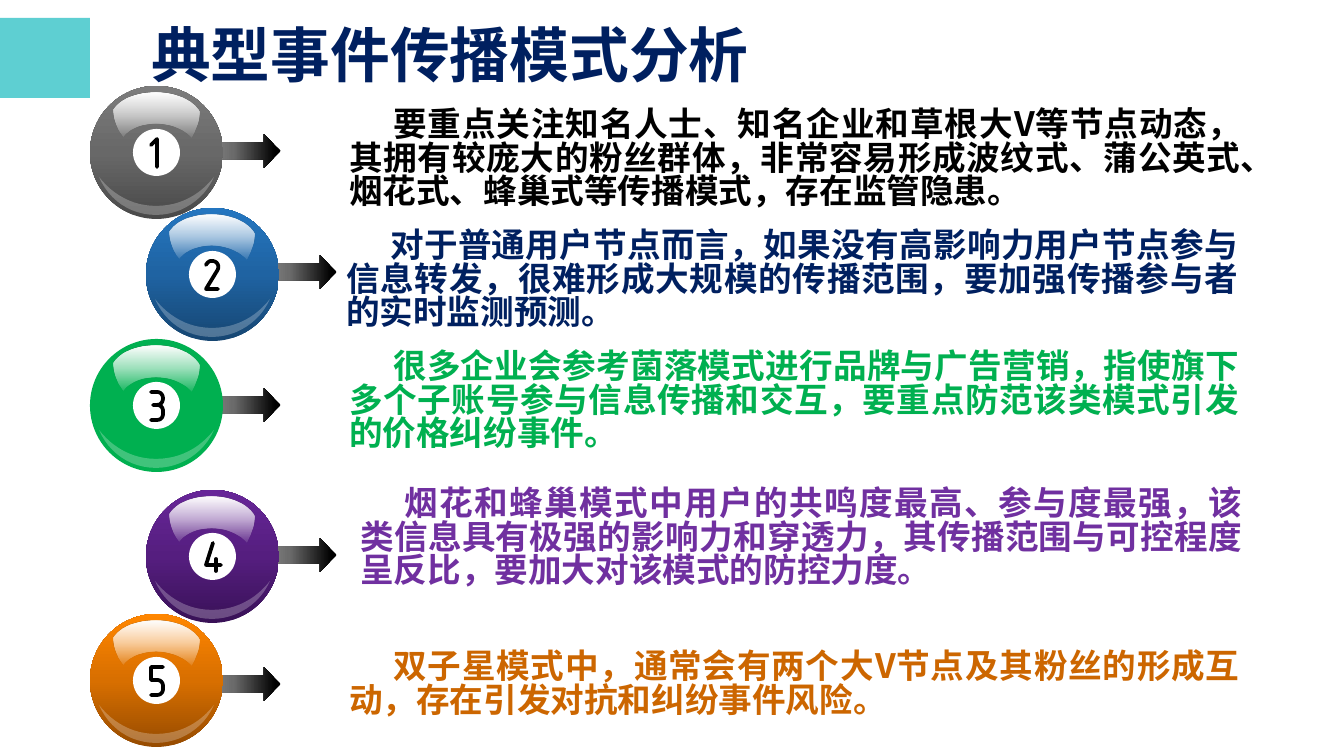
from lxml import etree
from pptx import Presentation
from pptx import util as u
from pptx.dml.color import RGBColor
from pptx.enum import shapes, text
from pptx.oxml.ns import qn

PX = 914400 / 134.4
FONT = "Noto Sans CJK SC"
INDENT = 44

# Ball parts in px from the ball's corner; six numbers make a Bezier segment
BALL, DISC = 133, (43, 43, 47, 47)
GLOSS = [(66, 7), (86, 7, 103, 15, 109, 26), (109, 36, 105, 44, 101, 52),
         (94, 44, 81, 38, 66, 38), (52, 38, 40, 43, 34, 51),
         (28, 44, 24, 34, 24, 24), (31, 13, 47, 7, 66, 7)]
CRESCENT = [(66, 129), (91, 129, 114, 114, 124, 91), (110, 109, 90, 120, 66, 120),
            (43, 120, 23, 109, 9, 91), (19, 114, 40, 129, 66, 129)]
LOWER_BOWL = [(67, 66), (71, 66, 73, 69, 73, 72), (73, 75),
              (73, 78, 71, 81, 67, 81), (61, 81)]
DIGITS = {
    1: [[(61, 59), (67, 53), (67, 81)]],
    2: [[(60, 57), (63, 52, 66, 53, 66, 53), (72, 53, 74, 59, 71, 63),
         (60, 81), (72, 81)]],
    3: [[(61, 53), (67, 53), (75, 53, 75, 66, 67, 66), (63, 66)], LOWER_BOWL],
    4: [[(67, 53), (60, 75), (75, 75)], [(70, 69), (70, 81)]],
    5: [[(73, 53), (61, 53), (61, 66)] + LOWER_BOWL],
}
WHITE_FADE = [(0, "FFFFFF", 10), (50, "FFFFFF", 61), (100, "FFFFFF", 100)]
ARROW_FADE = [(8, "000000", 100), (69, "6B6B6B", 100), (100, "808080", 100)]

# number, ball corner, arrow top, ball colours (bottom to top), text box, text colour, text
ITEMS = [
    (1, (90, 86), 134, ["494949", "686868", "7C7C7C"], (336, 103, 919, 116), "000000",
     "要重点关注知名人士、知名企业和草根大V等节点动态，其拥有较庞大的粉丝群体，非常容易形成波纹式、蒲公英式、烟花式、蜂巢式等传播模式，存在监管隐患。"),
    (2, (146, 208), 255, ["164672", "1F63A2", "2476C0"], (333, 224, 919, 116), "002060",
     "对于普通用户节点而言，如果没有高影响力用户节点参与信息转发，很难形成大规模的传播范围，要加强传播参与者的实时监测预测。"),
    (3, (90, 339), 388, ["00B050"], (336, 345, 917, 116), "00B050",
     "很多企业会参考菌落模式进行品牌与广告营销，指使旗下多个子账号参与信息传播和交互，要重点防范该类模式引发的价格纠纷事件。"),
    (4, (146, 490), 538, ["391157", "551E7F", "672698"], (347, 482, 909, 116), "7030A0",
     "烟花和蜂巢模式中用户的共鸣度最高、参与度最强，该类信息具有极强的影响力和穿透力，其传播范围与可控程度呈反比，要加大对该模式的防控力度。"),
    (5, (90, 614), 667, ["964B00", "D86F00", "FF8600"], (336, 645, 917, 82), "CC6600",
     "双子星模式中，通常会有两个大V节点及其粉丝的形成互动，存在引发对抗和纠纷事件风险。"),
]


def emu(*px):
    return [round(v * PX) for v in px]


def rgb(value):
    return RGBColor.from_string(value)


def set_alpha(color, percent):
    if percent < 100:
        etree.SubElement(color, qn("a:alpha"), val=str(percent * 1000))


def paint(s, color, alpha=100):
    s.shadow.inherit = False
    s.line.fill.background()
    s.fill.solid()
    s.fill.fore_color.rgb = rgb(color)
    set_alpha(s._element.spPr.find(".//" + qn("a:srgbClr")), alpha)


def paint_gradient(s, stops, angle):
    s.shadow.inherit = False
    s.line.fill.background()
    s.fill.gradient()
    s.fill.gradient_angle = angle
    stop_list = s._element.spPr.find(".//" + qn("a:gsLst"))
    for stop in list(stop_list):
        stop_list.remove(stop)
    for pos, color, alpha in stops:
        stop = etree.SubElement(stop_list, qn("a:gs"), pos=str(pos * 1000))
        set_alpha(etree.SubElement(stop, qn("a:srgbClr"), val=color), alpha)


def add_preset(slide, kind, box):
    return slide.shapes.add_shape(kind, *emu(*box))


def trace(segments, steps=12):
    points = [segments[0]]
    for seg in segments[1:]:
        if len(seg) == 2:
            points.append(seg)
            continue
        ctrl = [points[-1], seg[:2], seg[2:4], seg[4:]]
        for i in range(1, steps + 1):
            t = i / steps
            weights = [(1 - t) ** 3, 3 * t * (1 - t) ** 2, 3 * t * t * (1 - t), t ** 3]
            points.append(tuple(sum(w * c[k] for w, c in zip(weights, ctrl))
                                for k in (0, 1)))
    return points


def add_outline(slide, corner, contours, close):
    x, y = corner
    builder = None
    for contour in contours:
        points = [emu(x + px, y + py) for px, py in trace(contour)]
        if builder is None:
            builder = slide.shapes.build_freeform(*points[0], scale=1.0)
        else:
            builder.move_to(*points[0])
        builder.add_line_segments(points[1:], close=close)
    return builder.convert_to_shape()


def add_text(slide, box, content, font, para, frame):
    tf = slide.shapes.add_textbox(*emu(*box)).text_frame
    for key, value in {"word_wrap": True, **frame}.items():
        setattr(tf, key, value)
    p = tf.paragraphs[0]
    for key, value in para.items():
        setattr(p, key, value)
    r = p.add_run()
    r.text = content
    r.font.color.rgb = rgb(font["color"])
    for key, value in {"name": FONT, "bold": True, "size": u.Pt(font["size"])}.items():
        setattr(r.font, key, value)
    r_pr = r._r.get_or_add_rPr()
    r_pr.set("lang", "zh-CN")
    etree.SubElement(r_pr, qn("a:ea"), typeface=FONT)
    return p


def add_header(slide, box):
    x, y, w, h = box
    add_text(slide, (x + 138, y - 35, w - 47, h), "典型事件传播模式分析",
             {"color": "002060", "size": 32}, {"line_spacing": 0.9},
             {"vertical_anchor": text.MSO_ANCHOR.MIDDLE})
    paint(add_preset(slide, shapes.MSO_SHAPE.RECTANGLE, (x, y + 18, 90, 80)), "5ECFD2")


def add_arrow(slide, box):
    s = add_preset(slide, shapes.MSO_SHAPE.RIGHT_ARROW, box)
    paint_gradient(s, ARROW_FADE, 180)


def add_ball(slide, corner, number, colors):
    x, y = corner
    # Sphere
    s = add_preset(slide, shapes.MSO_SHAPE.OVAL, (x, y, BALL, BALL))
    if len(colors) == 1:
        paint(s, colors[0])
    else:
        paint_gradient(s, [(50 * i, c, 100) for i, c in enumerate(colors)], 90)
    # Reflections
    paint_gradient(add_outline(slide, corner, [GLOSS], True), WHITE_FADE, 90)
    paint(add_outline(slide, corner, [CRESCENT], True), "FFFFFF", 25)
    # Number on its disc
    dx, dy, w, h = DISC
    paint(add_preset(slide, shapes.MSO_SHAPE.OVAL, (x + dx, y + dy, w, h)), "FFFFFF")
    s = add_outline(slide, corner, DIGITS[number], False)
    s.shadow.inherit = False
    s.fill.background()
    s.line.color.rgb = rgb("000000")
    s.line.width = u.Pt(2)
    ln = s._element.spPr.find(qn("a:ln"))
    ln.set("cap", "rnd")
    etree.SubElement(ln, qn("a:round"))


def add_note(slide, box, content, color):
    p = add_text(slide, box, content, {"color": color, "size": 18},
                 {"alignment": text.PP_ALIGN.JUSTIFY, "line_spacing": u.Pt(18)},
                 {"auto_size": text.MSO_AUTO_SIZE.SHAPE_TO_FIT_TEXT})
    p._p.get_or_add_pPr().set("indent", str(emu(INDENT)[0]))


def main():
    prs = Presentation()
    prs.slide_width, prs.slide_height = emu(1344, 756)
    slide = prs.slides.add_slide(prs.slide_layouts[6])
    add_header(slide, (0, 0, 1344, 187))
    # Arrows lie behind the balls
    for _, corner, arrow_top, *_ in ITEMS:
        add_arrow(slide, (corner[0] + 122, arrow_top, 69, 34))
    for number, corner, _, colors, box, color, content in ITEMS:
        add_ball(slide, corner, number, colors)
        add_note(slide, box, content, color)
    prs.save("out.pptx")


if __name__ == "__main__":
    main()
